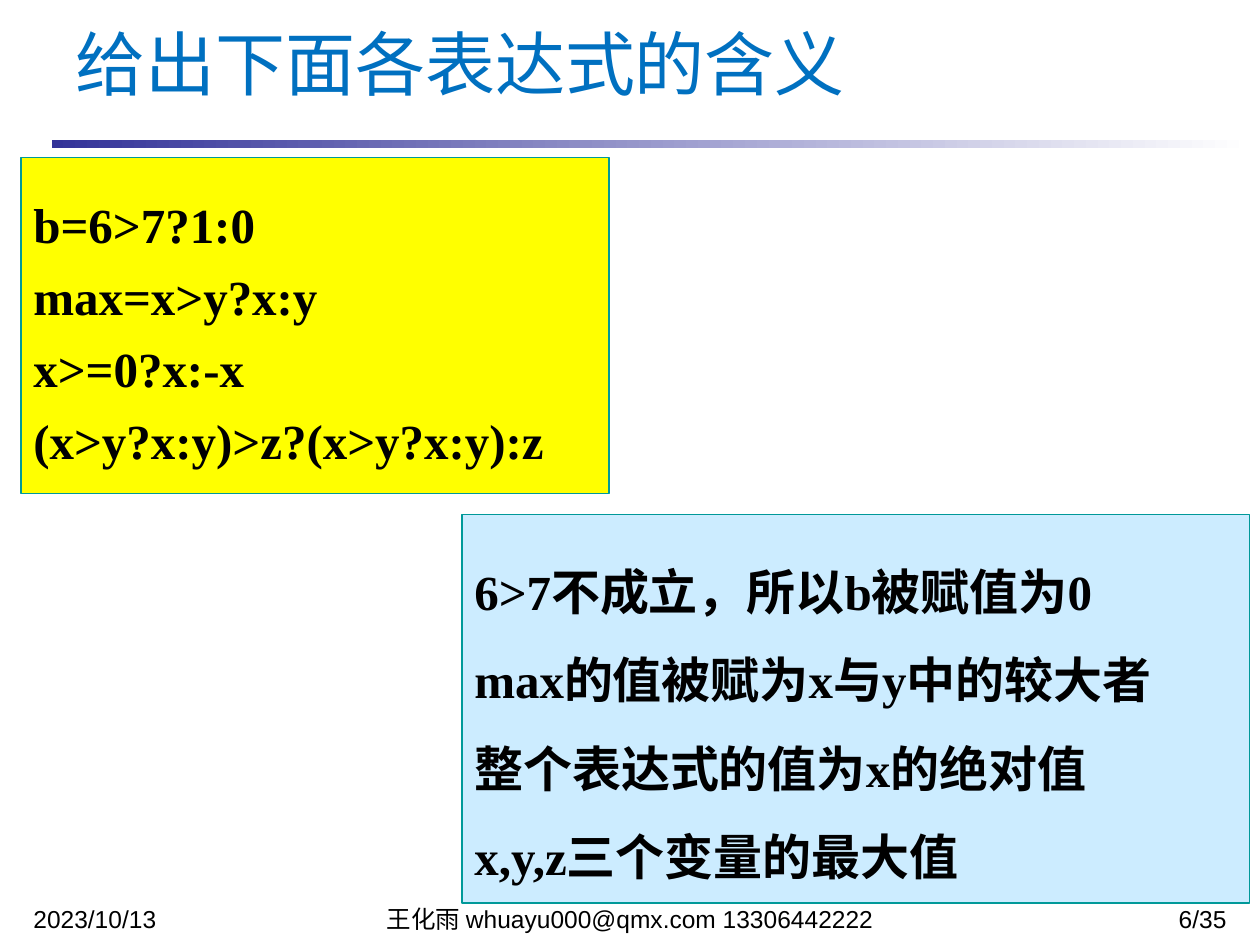
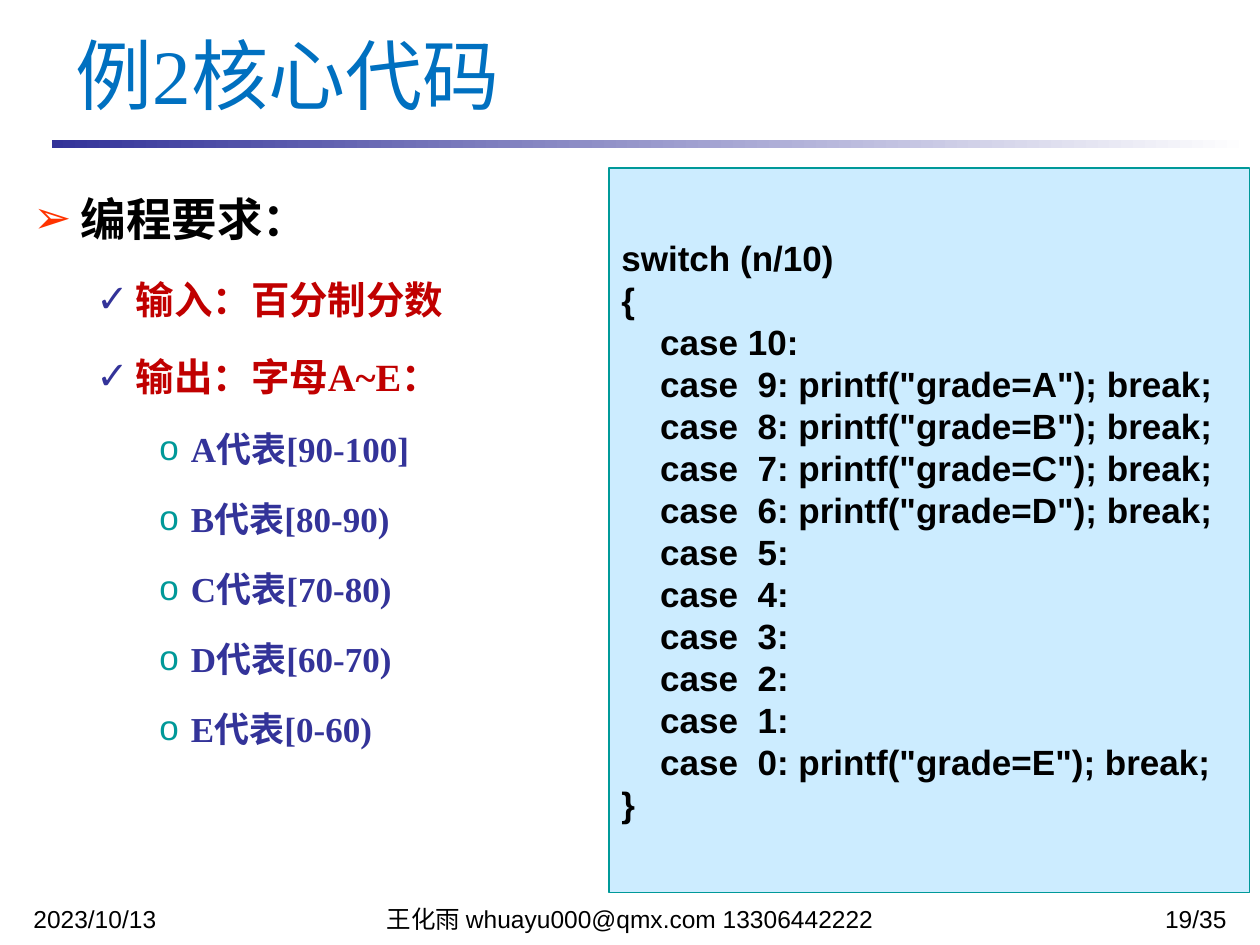
from lxml import etree
from pptx import Presentation
from pptx.dml.color import RGBColor
from pptx.enum import shapes, text
from pptx.oxml import ns
from pptx.util import Pt

# Content
DATE = "2023/10/13"
AUTHOR = "王化雨 whuayu000@qmx.com 13306442222"
TOTAL = 35

EXPRESSIONS = ["b=6>7?1:0", "max=x>y?x:y", "x>=0?x:-x", "(x>y?x:y)>z?(x>y?x:y):z"]
MEANINGS = [
    "6>7不成立，所以b被赋值为0",
    "max的值被赋为x与y中的较大者",
    "整个表达式的值为x的绝对值",
    "x,y,z三个变量的最大值",
]
# (level, text)
REQUIREMENTS = [
    (0, "编程要求："),
    (1, "输入：百分制分数"),
    (1, "输出：字母A~E："),
    (2, "A代表[90-100]"),
    (2, "B代表[80-90)"),
    (2, "C代表[70-80)"),
    (2, "D代表[60-70)"),
    (2, "E代表[0-60)"),
]
# Score tens and the grade printed, if any
CASES = [(10, ""), (9, "A"), (8, "B"), (7, "C"), (6, "D"),
         (5, ""), (4, ""), (3, ""), (2, ""), (1, ""), (0, "E")]

# Style
COLORS = dict(title="0070C0", ink="000000", white="FFFFFF", navy="333399", teal="009999",
              yellow="FFFF00", sky="CCECFF", red="C00000", orange="FF3300")
SERIF, SANS = "Times New Roman", "Arial"
LEVELS = [
    dict(size=26, color="ink", margin=27, hang=27, bullet="➢", bullet_color="orange"),
    dict(size=22, color="red", margin=58.5, hang=22.5, bullet="✓", bullet_color="navy"),
    dict(size=20, color="navy", margin=90, hang=18, bullet="o", bullet_color="teal"),
]
CASE_INDENT = 22.2


def rgb(name):
    return RGBColor.from_string(COLORS[name])


def write(p, words, size, font=SERIF, color="ink", bold=False, align="LEFT", spacing=None,
          before=0, margin=0, hang=0, bullet=None, bullet_color="ink"):
    """Fill one paragraph with formatted text."""
    p.alignment = getattr(text.PP_ALIGN, align)
    p.line_spacing = spacing
    p.space_before = Pt(before)
    r = p.add_run()
    r.text = words
    r.font.size, r.font.name, r.font.bold = Pt(size), font, bold
    r.font.color.rgb = rgb(color)
    pPr = p._p.get_or_add_pPr()
    pPr.set("marL", str(Pt(margin)))
    pPr.set("indent", str(-Pt(hang)))
    if bullet:
        clr = etree.SubElement(pPr, ns.qn("a:buClr"))
        etree.SubElement(clr, ns.qn("a:srgbClr"), val=COLORS[bullet_color])
        etree.SubElement(pPr, ns.qn("a:buFont"), typeface=SANS)
        etree.SubElement(pPr, ns.qn("a:buChar"), char=bullet)


def write_all(tf, lines):
    """Write (text, format) pairs, one paragraph each."""
    tf.word_wrap = True
    for i, (words, fmt) in enumerate(lines):
        write(tf.add_paragraph() if i else tf.paragraphs[0], words, **fmt)


def add_text(s, box, lines):
    tb = s.shapes.add_textbox(*map(Pt, box))
    write_all(tb.text_frame, lines)


def add_rect(s, box):
    sp = s.shapes.add_shape(shapes.MSO_SHAPE.RECTANGLE, *map(Pt, box))
    sp.shadow.inherit = False
    return sp


def add_panel(s, box, fill, lines):
    sp = add_rect(s, box)
    sp.fill.solid()
    sp.fill.fore_color.rgb = rgb(fill)
    sp.line.color.rgb = rgb("teal")
    sp.line.width = Pt(0.75)
    sp.text_frame.vertical_anchor = text.MSO_ANCHOR.MIDDLE
    write_all(sp.text_frame, lines)


def add_slide(prs, title, number, top, width, size):
    """Add a slide with its title, gradient band and footers."""
    s = prs.slides.add_slide(prs.slide_layouts[5])
    band = add_rect(s, (29.5, 80, 685, 4.5))
    band.line.fill.background()
    band.fill.gradient()
    band.fill.gradient_angle = 0
    for stop, color, pos in zip(band.fill.gradient_stops, ("navy", "white"), (0, 1)):
        stop.color.rgb, stop.position = rgb(color), pos

    sp = s.shapes.title
    sp.left, sp.top, sp.width, sp.height = map(Pt, (36, top, width, 48))
    tf = sp.text_frame
    tf.auto_size = text.MSO_AUTO_SIZE.NONE
    tf.vertical_anchor = text.MSO_ANCHOR.MIDDLE
    write_all(tf, [(title, dict(size=size, color="title"))])

    footers = [(12, 168, DATE, "LEFT"), (186, 348, AUTHOR, "CENTER"),
               (570, 138, f"{number}/{TOTAL}", "RIGHT")]
    for left, w, words, align in footers:
        fmt = dict(size=14, font=SANS, align=align, spacing=0.8, before=2.8)
        add_text(s, (left, 516, w, 13), [(words, fmt)])
    return s


def expressions_slide(prs):
    s = add_slide(prs, "给出下面各表达式的含义", 6, top=12, width=672, size=40)
    bold = dict(size=28, bold=True)
    add_panel(s, (12, 90, 336, 192), "yellow",
              [(e, dict(bold, spacing=Pt(41))) for e in EXPRESSIONS])
    add_panel(s, (264, 294, 450, 222), "sky",
              [(m, dict(bold, spacing=1.5)) for m in MEANINGS])


def switch_slide(prs):
    s = add_slide(prs, "例2核心代码", 19, top=18, width=630, size=44)
    add_text(s, (12, 90, 336, 354),
             [(words, dict(LEVELS[n], bold=True, spacing=1.5, before=LEVELS[n]["size"] * 0.2))
              for n, words in REQUIREMENTS])

    code = dict(size=20, font=SANS, bold=True)
    lines = [("switch (n/10)", code), ("{", code)]
    for tens, grade in CASES:
        action = f' printf("grade={grade}"); break;' if grade else ""
        lines.append((f"case {tens:>2}:{action}", dict(code, margin=CASE_INDENT)))
    add_panel(s, (348, 96, 366, 414), "sky", lines + [("}", code)])


def main():
    prs = Presentation()
    prs.slide_width, prs.slide_height = Pt(720), Pt(540)
    expressions_slide(prs)
    switch_slide(prs)
    prs.save("out.pptx")


if __name__ == "__main__":
    main()
